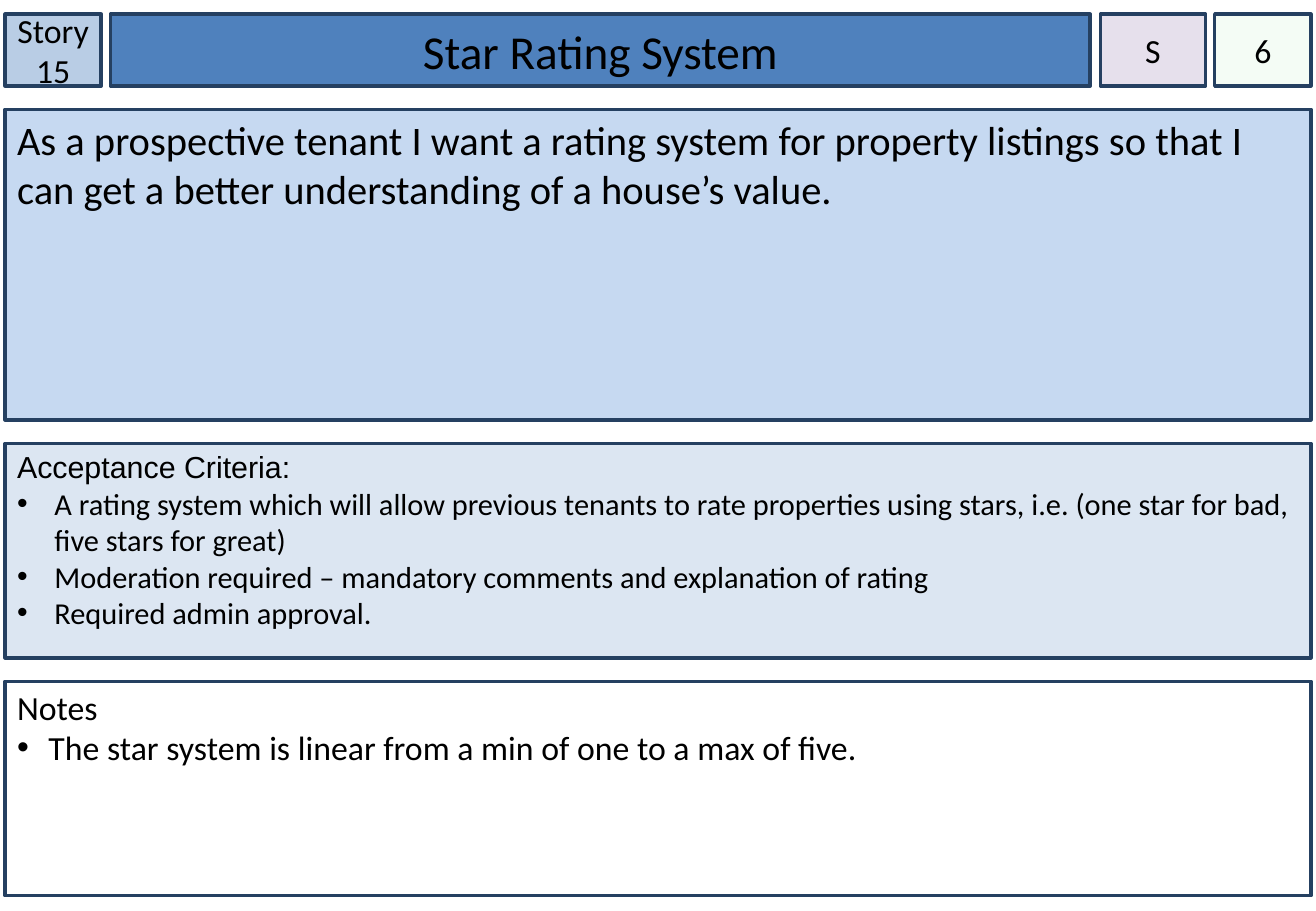
"""Build a user story card with a header row and three text panels."""
from dataclasses import dataclass

from lxml import etree
from pptx import Presentation
from pptx.dml.color import RGBColor
from pptx.enum.shapes import MSO_SHAPE
from pptx.enum.text import MSO_ANCHOR, PP_ALIGN
from pptx.oxml.ns import qn
from pptx.util import Pt

RECTANGLE = MSO_SHAPE.RECTANGLE
TOP, MIDDLE = MSO_ANCHOR.TOP, MSO_ANCHOR.MIDDLE
LEFT, CENTER = PP_ALIGN.LEFT, PP_ALIGN.CENTER
EMU_PER_PX = 7620


@dataclass(frozen=True)
class Theme:
    text: str = "000000"
    border: str = "254061"
    story: str = "B9CDE5"
    title: str = "4F81BD"
    description: str = "C6D9F1"
    criteria: str = "DCE6F2"
    size: str = "E6E0EC"
    points: str = "CCF0CD"
    notes: str = "FFFFFF"
    font: str = "Calibri"
    heading_font: str = "Arial"
    title_size: int = 28
    description_size: int = 24
    label_size: int = 20
    criteria_size: int = 18
    border_width: int = 2


def px(value):
    return value * EMU_PER_PX


def write_text(paragraph, text, *, font, size, color, align=LEFT, bullet_indent=0):
    paragraph.alignment = align
    run = paragraph.add_run()
    run.text = text
    run.font.name = font
    run.font.size = Pt(size)
    run.font.color.rgb = RGBColor.from_string(color)
    if bullet_indent:
        properties = paragraph._p.get_or_add_pPr()
        properties.set("marL", str(px(bullet_indent)))
        properties.set("indent", str(-px(bullet_indent)))
        etree.SubElement(properties, qn("a:buFont"), typeface="Arial")
        etree.SubElement(properties, qn("a:buChar"), char="•")


class StoryCard:
    def __init__(self, slide, theme):
        self.slide = slide
        self.theme = theme

    def box(self, left, top, width, height, fill, *, anchor=TOP,
            insets=(12, 6, 12, 6), wrap=True, opacity=100):
        shape = self.slide.shapes.add_shape(
            RECTANGLE, px(left), px(top), px(width), px(height))
        shape.shadow.inherit = False
        shape.fill.solid()
        shape.fill.fore_color.rgb = RGBColor.from_string(fill)
        if opacity < 100:
            color = shape._element.spPr.find(qn("a:solidFill"))[0]
            etree.SubElement(color, qn("a:alpha"), val=str(opacity * 1000))
        shape.line.color.rgb = RGBColor.from_string(self.theme.border)
        shape.line.width = Pt(self.theme.border_width)
        frame = shape.text_frame
        frame.word_wrap = wrap
        frame.vertical_anchor = anchor
        (frame.margin_left, frame.margin_top,
         frame.margin_right, frame.margin_bottom) = map(px, insets)
        return frame

    def header(self, left, width, text, fill, size, **box_format):
        frame = self.box(left, 14, width, 71, fill, anchor=MIDDLE, **box_format)
        write_text(frame.paragraphs[0], text, font=self.theme.font, size=size,
                   color=self.theme.text, align=CENTER)

    def panel(self, top, height, heading, fill, size, *, heading_font=None,
              bullets=(), bullet_indent=0, **box_format):
        theme = self.theme
        frame = self.box(5, top, 1290, height, fill, **box_format)
        write_text(frame.paragraphs[0], heading, font=heading_font or theme.font,
                   size=size, color=theme.text)
        for bullet in bullets:
            write_text(frame.add_paragraph(), bullet, font=theme.font, size=size,
                       color=theme.text, bullet_indent=bullet_indent)


def main():
    presentation = Presentation()
    presentation.slide_width = px(1300)
    presentation.slide_height = px(900)
    slide = presentation.slides.add_slide(presentation.slide_layouts[6])
    theme = Theme()
    card = StoryCard(slide, theme)

    label_insets = (0, 6, 0, 6)
    list_insets = (12, 5, 12, 6)
    card.header(5, 95, "Story 15", theme.story, theme.label_size, insets=label_insets)
    card.header(109, 968, "Star Rating System", theme.title, theme.title_size)
    card.panel(
        108, 307,
        "As a prospective tenant I want a rating system for property listings "
        "so that I can get a better understanding of a house’s value.",
        theme.description, theme.description_size)
    card.panel(
        438, 212, "Acceptance Criteria:", theme.criteria, theme.criteria_size,
        heading_font=theme.heading_font, insets=list_insets, bullet_indent=37,
        bullets=(
            "A rating system which will allow previous tenants to rate properties "
            "using stars, i.e. (one star for bad, five stars for great)",
            "Moderation required – mandatory comments and explanation of rating",
            "Required admin approval.",
        ))
    card.header(1200, 95, "6", theme.points, theme.label_size,
                insets=label_insets, opacity=20)
    card.header(1087, 104, "S", theme.size, theme.label_size,
                insets=label_insets, wrap=False)
    card.panel(
        673, 212, "Notes", theme.notes, theme.label_size,
        insets=list_insets, bullet_indent=31,
        bullets=("The star system is linear from a min of one to a max of five.",))

    presentation.save("out.pptx")


if __name__ == "__main__":
    main()
